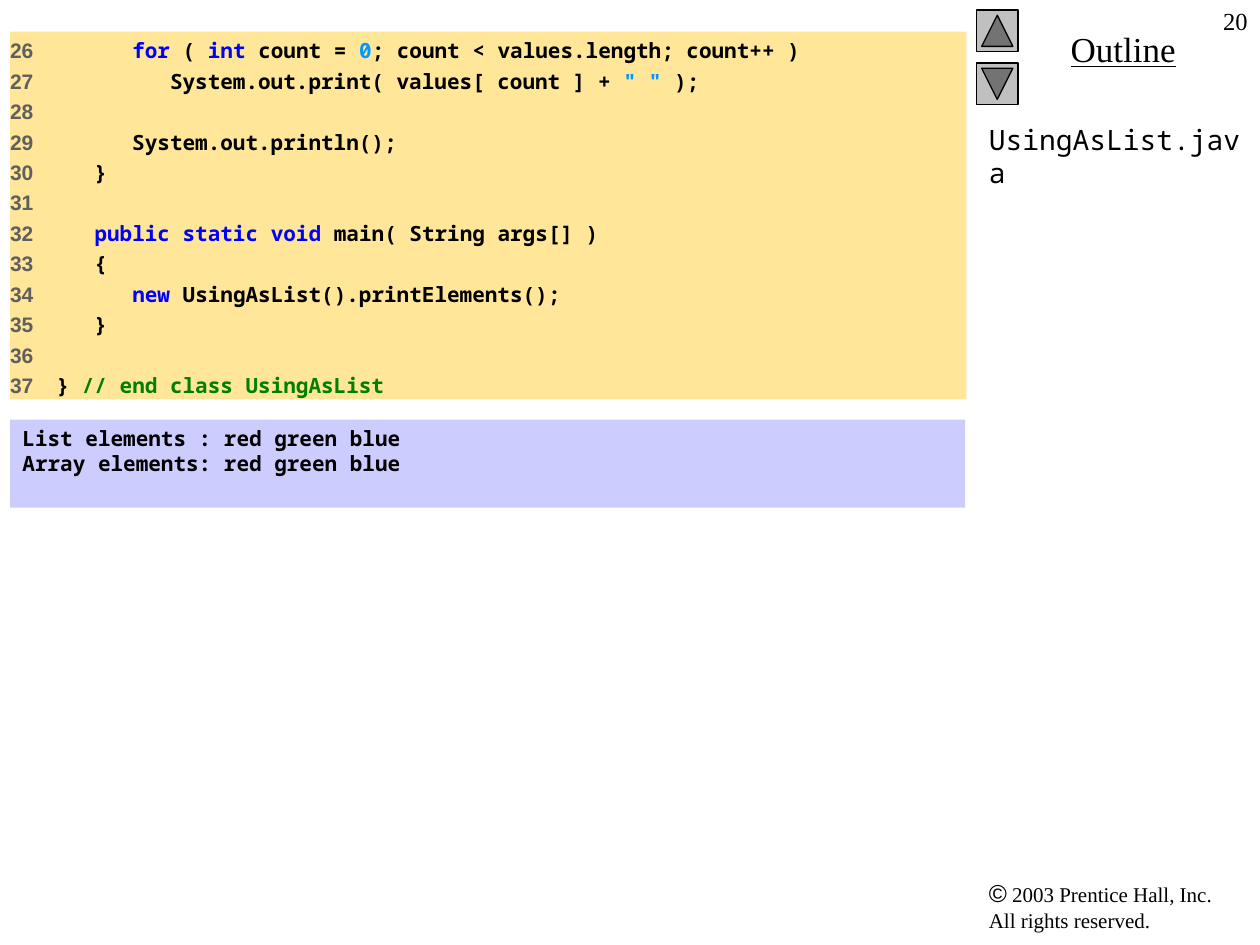
import pptx
import pptx.util
import pptx.dml.color
import pptx.enum.shapes
import pptx.enum.text
import pptx.oxml
from lxml import etree

Inches = pptx.util.Inches
Pt = pptx.util.Pt
Align = pptx.enum.text.PP_ALIGN
Shape = pptx.enum.shapes.MSO_SHAPE

HUES = {
    "plain": "000000",
    "key": "0000FF",
    "value": "0099FF",
    "note": "008000",
    "number": "5F5F5F",
    "code": "FFE699",
    "output": "CCCCFF",
    "button": "C0C0C0",
}
SERIF, SANS, MONO = "Times New Roman", "Arial", "Noto Sans Mono"

FIRST = 26
CODE = [
    [("      ", "plain"), ("for", "key"), (" ( ", "plain"), ("int", "key"),
     (" count = ", "plain"), ("0", "value"),
     ("; count < values.length; count++ )", "plain")],
    [("         System.out.print( values[ count ] + ", "plain"),
     ('" "', "value"), (" );", "plain")],
    [],
    [("      System.out.println();", "plain")],
    [("   }", "plain")],
    [],
    [("   ", "plain"), ("public static void", "key"),
     (" main( String args[] )", "plain")],
    [("   {", "plain")],
    [("      ", "plain"), ("new", "key"),
     (" UsingAsList().printElements();", "plain")],
    [("   }", "plain")],
    [],
    [("} ", "plain"), ("// end class UsingAsList", "note")],
]
OUTPUT = ["List elements : red green blue", "Array elements: red green blue"]


def color(name):
    return pptx.dml.color.RGBColor.from_string(HUES[name])


def add_run(para, text, size, face, hue="plain", bold=False, under=False):
    run = para.add_run()
    run.text = text
    font = run.font
    font.size, font.name = Pt(size), face
    font.bold, font.underline = bold, under
    font.color.rgb = color(hue)


def add_text(slide, box, fill=None, inset=0.1):
    shape = slide.shapes.add_textbox(*map(Inches, box))
    if fill:
        shape.fill.solid()
        shape.fill.fore_color.rgb = color(fill)
    frame = shape.text_frame
    frame.word_wrap = True
    frame.margin_left = Inches(inset)
    return frame


def add_para(frame, index):
    return frame.add_paragraph() if index else frame.paragraphs[0]


def add_tab(para, place):
    props = para._p.get_or_add_pPr()
    tabs = etree.SubElement(props, pptx.oxml.ns.qn("a:tabLst"))
    stop = etree.SubElement(tabs, pptx.oxml.ns.qn("a:tab"))
    stop.set("pos", str(Inches(place)))
    stop.set("algn", "l")


def add_code(slide, box):
    frame = add_text(slide, box, "code", 0)
    for index, line in enumerate(CODE):
        para = add_para(frame, index)
        para.line_spacing = Pt(14.4)
        para.space_before = Pt(3 if index else 0)
        add_tab(para, 0.37)
        number = str(FIRST + index) + ("\t" if line else "")
        add_run(para, number, 12, SANS, "number", True)
        for text, hue in line:
            add_run(para, text, 12, MONO, hue, True)


def add_output(slide, box):
    frame = add_text(slide, box, "output")
    for index, line in enumerate(OUTPUT):
        add_run(add_para(frame, index), line, 12, MONO, bold=True)


def add_buttons(slide, box):
    left, top, side, step = box
    for index, angle in enumerate((90, 270)):
        button = slide.shapes.add_shape(
            Shape.ACTION_BUTTON_BACK_OR_PREVIOUS, Inches(left),
            Inches(top + index * step), Inches(side), Inches(side))
        button.rotation = angle
        button.shadow.inherit = False
        button.fill.solid()
        button.fill.fore_color.rgb = color("button")
        button.line.color.rgb = color("plain")
        button.line.width = Pt(0.75)


def add_side(slide, box):
    left, top, width, height = box
    add_buttons(slide, (left, top + 0.08, 0.33, 0.42))

    head = add_text(slide, (left + 0.08, top + 0.17, 2.17, 0.44))
    head.paragraphs[0].alignment = Align.CENTER
    add_run(head.paragraphs[0], "Outline", 20, SERIF, under=True)

    page = add_text(slide, (left + width - 0.5, top, 0.5, 0.5))
    page.paragraphs[0].alignment = Align.RIGHT
    add_run(page.paragraphs[0], "20", 14, SERIF)

    title = add_text(slide, (left, top + 0.92, width, 6))
    add_run(title.paragraphs[0], "UsingAsList.java", 16, MONO)

    foot = add_text(slide, (left, top + height - 0.58, 2.17, 0.54))
    para = foot.paragraphs[0]
    add_run(para, "©", 14, SANS)
    add_run(para, " 2003 Prentice Hall, Inc.", 12, SERIF)
    para.add_line_break()
    add_run(para, "All rights reserved.", 12, SERIF)


def main():
    deck = pptx.Presentation()
    deck.slide_width, deck.slide_height = Inches(10), Inches(7.5)
    slide = deck.slides.add_slide(deck.slide_layouts[6])
    add_side(slide, (7.75, 0, 2.25, 7.5))
    add_code(slide, (0.08, 0.25, 7.59, 2.92))
    add_output(slide, (0.08, 3.33, 7.58, 0.7))
    deck.save("out.pptx")


if __name__ == "__main__":
    main()
